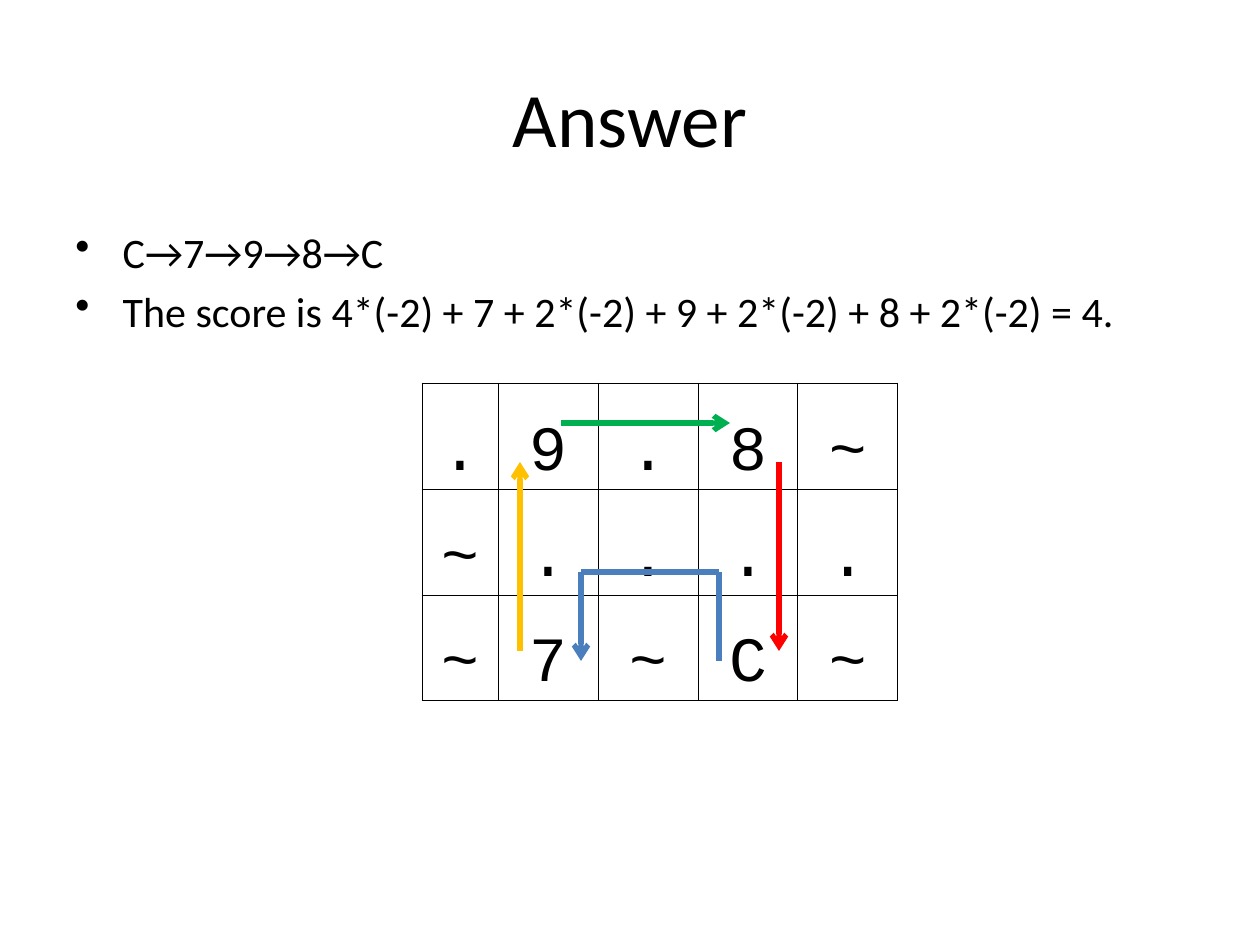
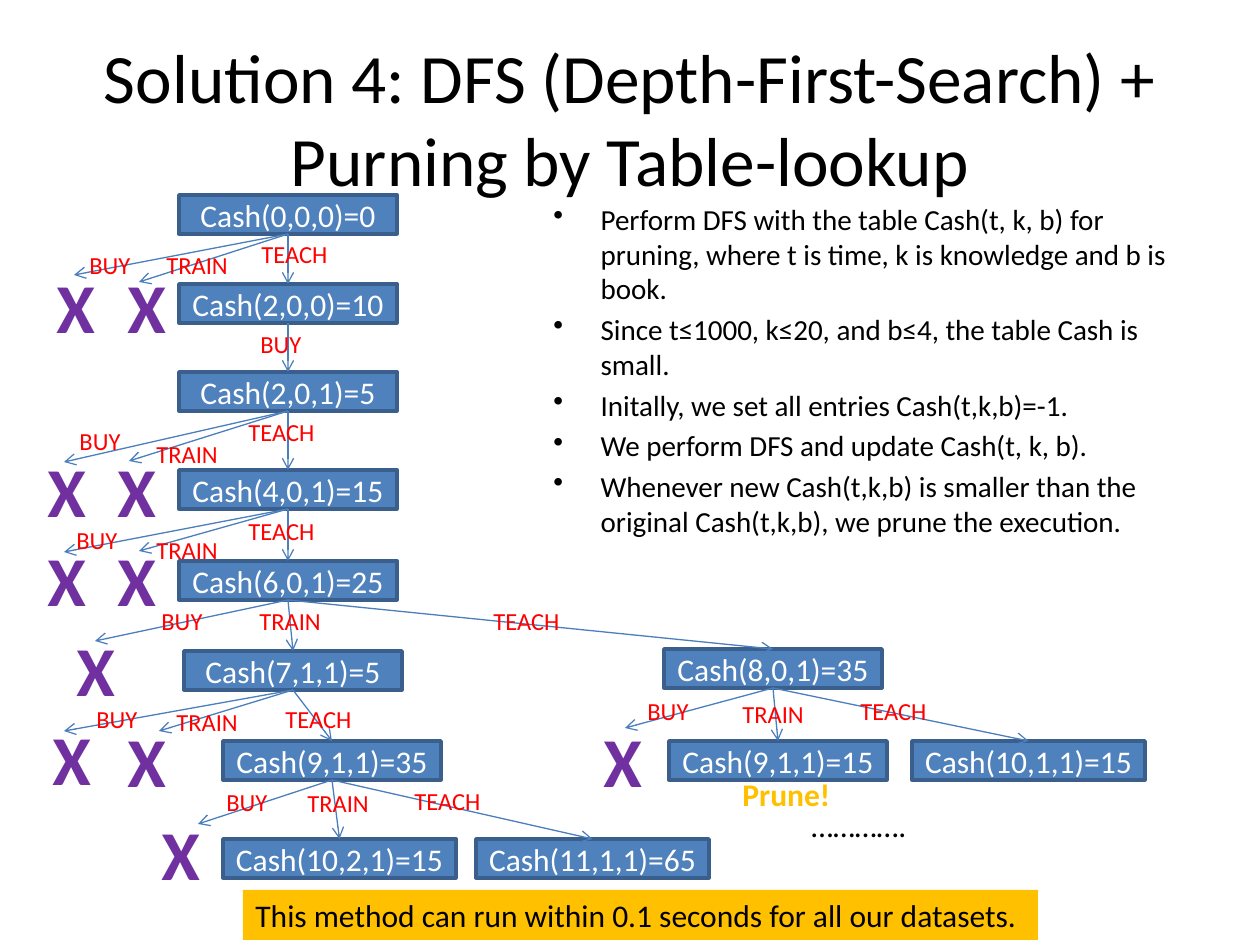
import pptx
import pptx.dml.color
import pptx.enum.shapes
import pptx.enum.text
import pptx.oxml
import pptx.oxml.ns
import pptx.util
import lxml.etree

RGB = pptx.dml.color.RGBColor
ANCHOR = pptx.enum.text.MSO_ANCHOR
ALIGN = pptx.enum.text.PP_ALIGN
Pt = pptx.util.Pt
qn = pptx.oxml.ns.qn

BLACK = RGB(0x00, 0x00, 0x00)
WHITE = RGB(0xFF, 0xFF, 0xFF)
RED = RGB(0xFF, 0x00, 0x00)
GREEN = RGB(0x00, 0xB0, 0x50)
GOLD = RGB(0xFF, 0xC0, 0x00)
PURPLE = RGB(0x70, 0x30, 0xA0)
BLUE = RGB(0x4F, 0x81, 0xBD)
NAVY = RGB(0x3A, 0x5F, 0x8C)
STEEL = RGB(0x4B, 0x7E, 0xBC)

BODY = "Calibri"
MONO = "Courier New"
SCALE = 914400 / 126
TITLE = (63, 38, 1134, 158)

GRID = [".9.8~", "~....", "~7~C~"]
WIDTHS = [76, 100, 100, 100, 100]
ROUTES = [
    (GOLD, [(98, 268), (98, 79)]),
    (GREEN, [(139, 40), (308, 40)]),
    (RED, [(357, 79), (357, 268)]),
    (STEEL, [(297, 278), (297, 189), (159, 189), (159, 278)]),
]
MOVES = [
    "C→7→9→8→C",
    "The score is 4*(-2) + 7 + 2*(-2) + 9 + 2*(-2) + 8 + 2*(-2) = 4.",
]

NOTES = [
    "Perform DFS with the table Cash(t, k, b) for pruning, where t is time, "
    "k is knowledge and b is book.",
    "Since t≤1000, k≤20, and b≤4, the table Cash is small.",
    "Initally, we set all entries Cash(t,k,b)=-1.",
    "We perform DFS and update Cash(t, k, b).",
    "Whenever new Cash(t,k,b) is smaller than the original Cash(t,k,b), "
    "we prune the execution.",
]
STATES = {
    "Cash(0,0,0)=0": (144, 0),
    "Cash(2,0,0)=10": (144, 89),
    "Cash(2,0,1)=5": (144, 177),
    "Cash(4,0,1)=15": (144, 275),
    "Cash(6,0,1)=25": (144, 366),
    "Cash(7,1,1)=5": (149, 456),
    "Cash(8,0,1)=35": (629, 454),
    "Cash(9,1,1)=35": (188, 546),
    "Cash(9,1,1)=15": (634, 546),
    "Cash(10,1,1)=15": (877, 546),
    "Cash(10,2,1)=15": (188, 644),
    "Cash(11,1,1)=65": (441, 644),
}
STEPS = [
    ("Cash(0,0,0)=0", "TEACH", (214, 38), "Cash(2,0,0)=10"),
    ("Cash(2,0,0)=10", "BUY", (213, 128), "Cash(2,0,1)=5"),
    ("Cash(2,0,1)=5", "TEACH", (201, 216), "Cash(4,0,1)=15"),
    ("Cash(4,0,1)=15", "TEACH", (201, 315), "Cash(6,0,1)=25"),
    ("Cash(6,0,1)=25", "TRAIN", (212, 405), "Cash(7,1,1)=5"),
    ("Cash(6,0,1)=25", "TEACH", (446, 405), "Cash(8,0,1)=35"),
    ("Cash(7,1,1)=5", "TEACH", (238, 503), "Cash(9,1,1)=35"),
    ("Cash(9,1,1)=35", "TRAIN", (260, 587), "Cash(10,2,1)=15"),
    ("Cash(9,1,1)=35", "TEACH", (367, 585), "Cash(11,1,1)=65"),
    ("Cash(8,0,1)=35", "TRAIN", (695, 498), "Cash(9,1,1)=15"),
    ("Cash(8,0,1)=35", "TEACH", (813, 495), "Cash(10,1,1)=15"),
]
FAILS = [
    ("Cash(0,0,0)=0", "BUY", (42, 49), (39, 80), (9, 62)),
    ("Cash(0,0,0)=0", "TRAIN", (119, 49), (104, 87), (80, 62)),
    ("Cash(2,0,1)=5", "BUY", (32, 225), (29, 267), (0, 246)),
    ("Cash(2,0,1)=5", "TRAIN", (109, 238), (94, 266), (70, 246)),
    ("Cash(4,0,1)=15", "BUY", (29, 324), (29, 357), (0, 335)),
    ("Cash(4,0,1)=15", "TRAIN", (109, 334), (104, 356), (70, 335)),
    ("Cash(6,0,1)=25", "BUY", (114, 405), (60, 446), (29, 425)),
    ("Cash(7,1,1)=5", "BUY", (49, 503), (29, 536), (5, 514)),
    ("Cash(7,1,1)=5", "TRAIN", (129, 506), (124, 536), (80, 516)),
    ("Cash(9,1,1)=35", "BUY", (179, 586), (163, 629), (114, 609)),
    ("Cash(8,0,1)=35", "BUY", (600, 495), (590, 533), (556, 516)),
]
SPANS = {"BUY": 67, "TRAIN": 87, "TEACH": 92}


def px(*vals):
    """Turn pixels into a list of EMU lengths."""
    return [round(v * SCALE) for v in vals]


def style(para, size, color=BLACK, bold=False, face=BODY, align=None):
    """Set the font and alignment of one paragraph."""
    font = para.font
    font.name, font.size, font.bold = face, Pt(size), bold
    font.color.rgb = color
    para.alignment = align


def head(slide, text, size):
    """Place and format the title."""
    shape = slide.shapes.title
    shape.left, shape.top, shape.width, shape.height = px(*TITLE)
    frame = shape.text_frame
    frame.text = text
    frame.auto_size = pptx.enum.text.MSO_AUTO_SIZE.NONE
    frame.vertical_anchor = ANCHOR.MIDDLE
    style(frame.paragraphs[0], size, align=ALIGN.CENTER)


def label(slide, text, box, size, color=BLACK, bold=False):
    """Add one line of free text."""
    shape = slide.shapes.add_textbox(*px(*box))
    frame = shape.text_frame
    frame.text = text
    frame.word_wrap = False
    style(frame.paragraphs[0], size, color, bold)
    return shape


def block(slide, text, box):
    """Add a blue box that holds one state."""
    kind = pptx.enum.shapes.MSO_SHAPE.RECTANGLE
    shape = slide.shapes.add_shape(kind, *px(*box))
    shape.shadow.inherit = False
    shape.fill.solid()
    shape.fill.fore_color.rgb = BLUE
    shape.line.color.rgb = NAVY
    shape.line.width = Pt(2)
    frame = shape.text_frame
    frame.text = text
    frame.vertical_anchor = ANCHOR.MIDDLE
    style(frame.paragraphs[0], 18, WHITE, align=ALIGN.CENTER)


def line(slide, start, end, color, width, arrow=True):
    """Draw a straight line, with an open arrowhead if asked."""
    kind = pptx.enum.shapes.MSO_CONNECTOR.STRAIGHT
    link = slide.shapes.add_connector(kind, *px(*start, *end))
    link.line.color.rgb = color
    link.line.width = Pt(width)
    props = link.element.spPr
    if arrow:
        tail = lxml.etree.SubElement(props.find(qn("a:ln")), qn("a:tailEnd"))
        tail.set("type", "arrow")
    lxml.etree.SubElement(props, qn("a:effectLst"))


def bullets(slide, items, box, size):
    """Write a bulleted list."""
    frame = slide.shapes.add_textbox(*px(*box)).text_frame
    frame.word_wrap = True
    frame.text = "\n".join(items)
    for para in frame.paragraphs:
        style(para, size)
        para.space_before = Pt(round(size * 0.2, 1))
        props = para._p.get_or_add_pPr()
        props.set("marL", "342900")
        props.set("indent", "-342900")
        mark = pptx.oxml.parse_xml(
            f'<a:buChar {pptx.oxml.ns.nsdecls("a")} char="•"/>')
        props.find(qn("a:defRPr")).addprevious(mark)


def edge(cell):
    """Give a cell thin black borders."""
    props = cell._tc.get_or_add_tcPr()
    for side in "LRTB":
        rule = lxml.etree.SubElement(props, qn(f"a:ln{side}"), w="6350")
        fill = lxml.etree.SubElement(rule, qn("a:solidFill"))
        lxml.etree.SubElement(fill, qn("a:srgbClr"), val=str(BLACK))


def board(slide, box):
    """Draw the map as a table with the routes over it."""
    left, top, _, high = box
    rows, cols = len(GRID), len(WIDTHS)
    table = slide.shapes.add_table(rows, cols, *px(*box)).table
    table.first_row = table.horz_banding = False
    for col, width in zip(table.columns, WIDTHS):
        col.width = px(width)[0]
    for row, marks in zip(table.rows, GRID):
        row.height = px(high / rows)[0]
        for cell, mark in zip(row.cells, marks):
            cell.text = mark
            cell.vertical_anchor = ANCHOR.BOTTOM
            cell.margin_left = cell.margin_right = cell.margin_top = px(1)[0]
            cell.margin_bottom = 0
            edge(cell)
            cell.fill.background()
            style(cell.text_frame.paragraphs[0], 36, face=MONO,
                  align=ALIGN.CENTER)
    for color, stops in ROUTES:
        spots = [(left + x, top + y) for x, y in stops]
        for start, end in zip(spots, spots[1:]):
            line(slide, start, end, color, 3, end == spots[-1])


def tree(slide, box):
    """Draw the search tree with its steps and dead ends."""
    left, top = box[:2]

    def place(spot, *size):
        return (left + spot[0], top + spot[1], *size)

    boxes = {name: place(spot, 233 if len(name) > 14 else 218, 39)
             for name, spot in STATES.items()}

    def port(name, down):
        x, y, wide, high = boxes[name]
        return x + wide / 2, y + high * down

    links = [(src, word, spot, port(dest, 0))
             for src, word, spot, dest in STEPS]
    links += [(src, word, spot, place(end))
              for src, word, spot, end, _ in FAILS]
    for name, area in boxes.items():
        block(slide, name, area)
    for src, word, spot, end in links:
        line(slide, port(src, 1), end, STEEL, 0.75)
        label(slide, word, place(spot, SPANS[word], 43), 14, RED)
    for *_, spot in FAILS:
        label(slide, "X", place(spot, 64, 97), 40, PURPLE, True)
    label(slide, "Prune!", place((695, 574), 113, 50), 18, GOLD, True)
    label(slide, "………….", place((764, 605), 121, 50), 18)


def banner(slide, text, box):
    """Add the gold strip at the foot."""
    shape = label(slide, text, box, 18)
    shape.fill.solid()
    shape.fill.fore_color.rgb = GOLD


def answer(slide):
    """Build the slide with the solved map."""
    head(slide, "Answer", 44)
    bullets(slide, MOVES, (63, 220, 1134, 624), 24)
    board(slide, (422, 383, 476, 318))


def search(slide):
    """Build the slide with the search tree."""
    head(slide, "Solution 4: DFS (Depth-First-Search) + "
         "Purning by Table-lookup", 39.6)
    bullets(slide, NOTES, (541, 195, 655, 367), 16.6)
    tree(slide, (35, 195, 1110, 683))
    banner(slide, "This method can run within 0.1 seconds "
           "for all our datasets.", (243, 890, 795, 50))


def main():
    """Build and save the presentation."""
    deck = pptx.Presentation()
    deck.slide_width, deck.slide_height = px(1260, 945)
    for build in (answer, search):
        build(deck.slides.add_slide(deck.slide_layouts[5]))
    deck.save("out.pptx")


main()
